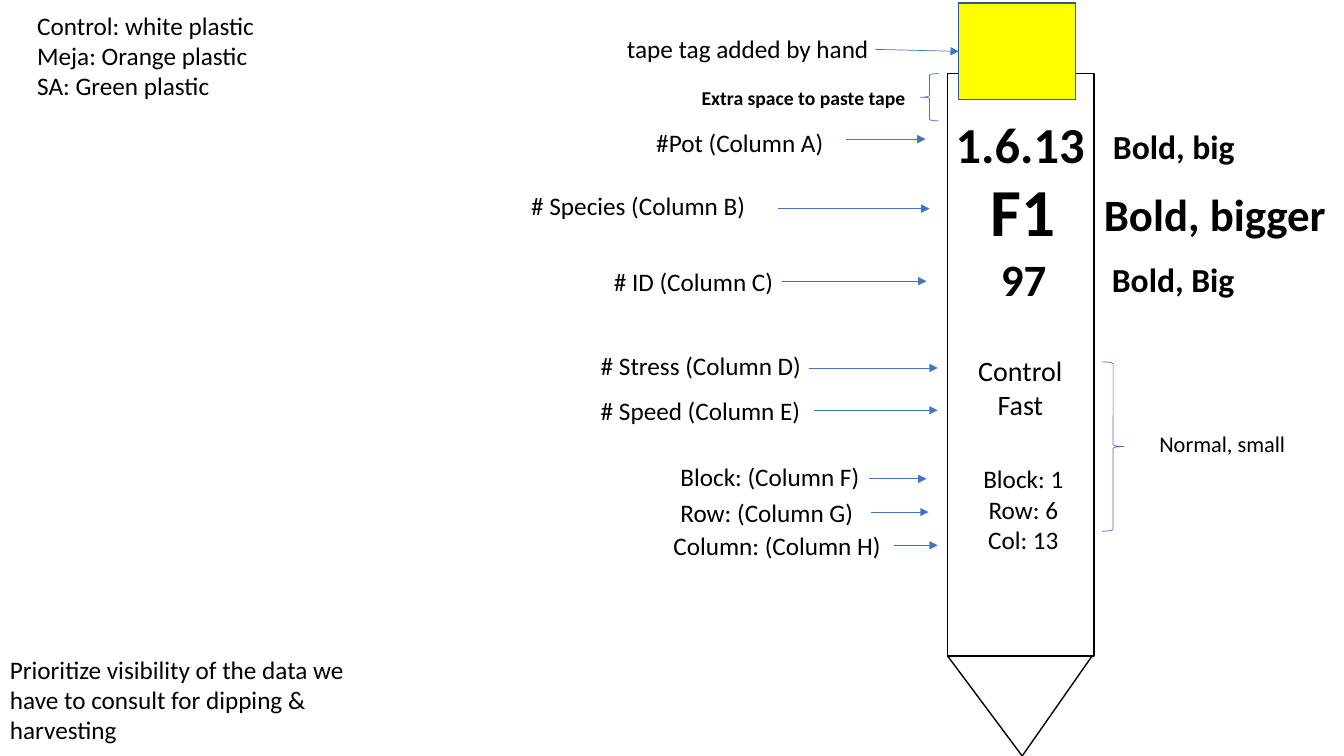
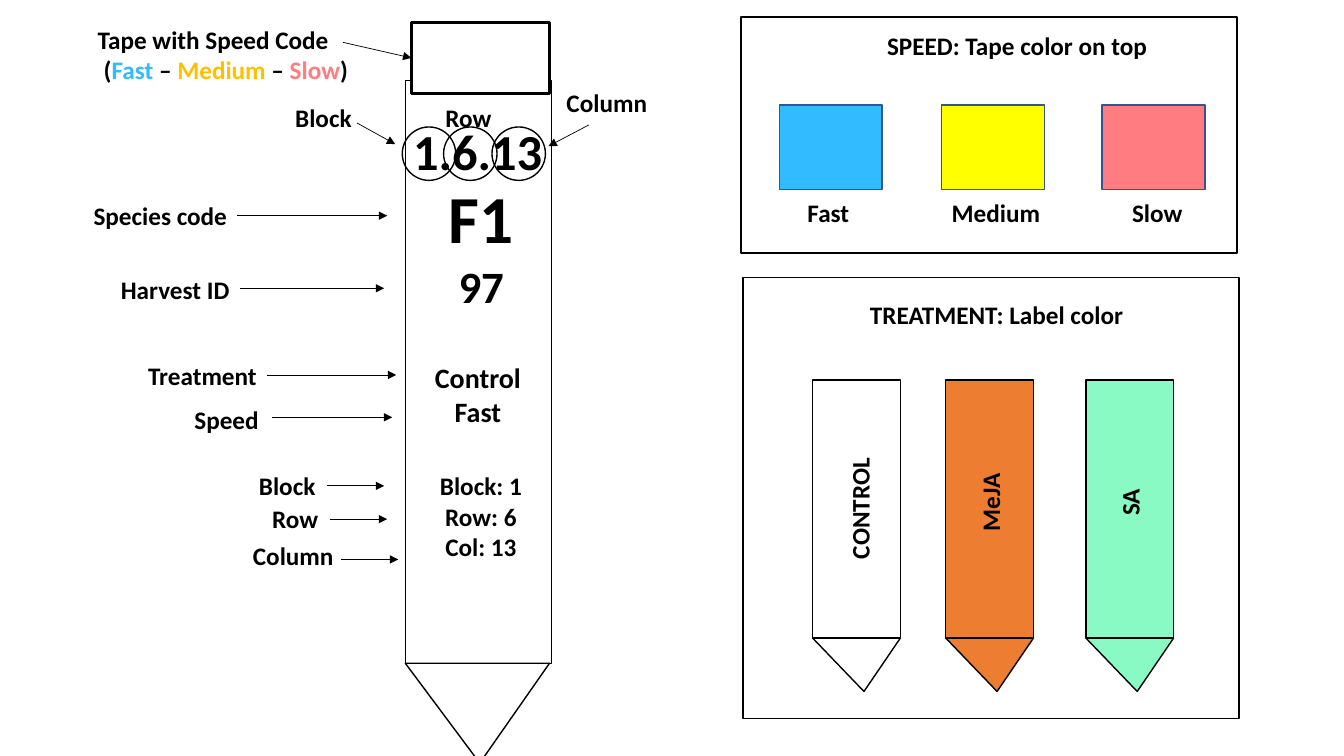
from lxml.etree import SubElement
from pptx import Presentation
from pptx.dml.color import RGBColor
from pptx.enum.shapes import MSO_CONNECTOR, MSO_SHAPE
from pptx.enum.text import MSO_AUTO_SIZE, PP_ALIGN
from pptx.oxml.ns import qn
from pptx.util import Inches, Pt

FONT = "Calibri"
BLACK, WHITE, BLUE, NAVY = "000000", "FFFFFF", "4472C4", "325491"
SKY, YELLOW, AMBER, PINK = "33BBFF", "FFFF00", "FFC000", "FF7C80"
ORANGE, MINT = "ED7D31", "8AFAC5"
LEFT, CENTER = PP_ALIGN.LEFT, PP_ALIGN.CENTER


def add_text(page, left, top, width, text, size=18, bold=False, align=LEFT, wrap=False):
    lines = text.split("\n")
    height = 0.1 + len(lines) * size / 60
    box = page.shapes.add_textbox(Inches(left), Inches(top), Inches(width), Inches(height))
    frame = box.text_frame
    frame.word_wrap = wrap
    frame.auto_size = MSO_AUTO_SIZE.SHAPE_TO_FIT_TEXT
    frame.text = text
    for para in frame.paragraphs:
        para.alignment = align
        para.font.name = FONT
        para.font.size = Pt(size)
        para.font.bold = bold
        para.font.color.rgb = RGBColor.from_string(BLACK)
    return box


def add_figure(page, kind, left, top, width, height, fill=None, line=BLACK, weight=1):
    figure = page.shapes.add_shape(kind, Inches(left), Inches(top), Inches(width), Inches(height))
    figure.shadow.inherit = False
    if fill:
        figure.fill.solid()
        figure.fill.fore_color.rgb = RGBColor.from_string(fill)
    else:
        figure.fill.background()
    figure.line.color.rgb = RGBColor.from_string(line)
    figure.line.width = Pt(weight)
    return figure


deck = Presentation()
deck.slide_width = Inches(13.33)
deck.slide_height = Inches(7.5)
layout_page, legend_page = [deck.slides.add_slide(deck.slide_layouts[6]) for _ in range(2)]

for page, left, top, bold in [(layout_page, 9.4, 0.73, False), (legend_page, 4.02, 0.8, True)]:
    add_figure(page, MSO_SHAPE.RECTANGLE, left, top, 1.45, 5.78, WHITE)
    tip = add_figure(page, MSO_SHAPE.ISOSCELES_TRIANGLE, left, top + 5.78, 1.43, 0.99, WHITE)
    tip.rotation = 180
    tip.adjustments[0] = 0.484
    for across, down, width, text, size, strong, align in [
        (0.12, 2.73, 1.2, "Control\nFast", 20, bold, CENTER),
        (0.15, 3.82, 1.2, "Block: 1\nRow: 6\nCol: 13", 18, bold, CENTER),
        (-0.02, 0.34, 1.5, "1.6.13", 36, True, LEFT),
        (0.33, 0.9, 0.85, "F1", 48, True, LEFT),
        (0.43, 1.72, 0.66, "97", 32, True, LEFT),
    ]:
        add_text(page, left + across, top + down, width, text, size, strong, align)

add_text(layout_page, 0, 6.44, 3.8,
         "Prioritize visibility of the data we have to consult for dipping & harvesting", wrap=True)
add_text(layout_page, 0.27, 0.05, 2.38,
         "Control: white plastic\nMeja: Orange plastic\nSA: Green plastic")
yellow_tape = add_figure(layout_page, MSO_SHAPE.RECTANGLE, 9.51, 0.03, 1.16, 0.96, YELLOW, NAVY)
add_figure(layout_page, MSO_SHAPE.LEFT_BRACE, 9.13, 0.73, 0.18, 0.47, line=BLUE, weight=0.5)
add_figure(layout_page, MSO_SHAPE.RIGHT_BRACE, 10.93, 3.59, 0.22, 1.68, line=BLUE, weight=0.5)

for left, top, width, text in [
    (6.12, 0.28, 2.63, "tape tag added by hand"),
    (6.41, 1.21, 1.88, "#Pot (Column A)"),
    (5.17, 1.84, 2.35, "# Species (Column B)"),
    (5.99, 2.59, 1.8, "# ID (Column C)"),
    (5.86, 3.43, 2.21, "# Stress (Column D)"),
    (5.86, 3.87, 2.21, "# Speed (Column E)"),
    (6.65, 4.53, 2, "Block: (Column F)"),
    (6.65, 4.88, 1.94, "Row: (Column G)"),
    (6.58, 5.21, 2.29, "Column: (Column H)"),
]:
    add_text(layout_page, left, top, width, text)

for left, top, width, text, size, bold in [
    (6.86, 0.8, 2.32, "Extra space to paste tape", 14, True),
    (10.94, 1.2, 1.42, "Bold, big", 24, True),
    (10.85, 1.8, 2.42, "Bold, bigger", 32, True),
    (10.93, 2.52, 1.43, "Bold, Big", 24, True),
    (11.4, 4.22, 1.51, "Normal, small", 16, False),
]:
    add_text(layout_page, left, top, width, text, size, bold)

plain_tape = add_figure(legend_page, MSO_SHAPE.RECTANGLE, 4.08, 0.22, 1.37, 0.71, WHITE, weight=2.25)
for left in (3.99, 4.4, 4.88):
    add_figure(legend_page, MSO_SHAPE.OVAL, left, 1.26, 0.53, 0.53)
add_figure(legend_page, MSO_SHAPE.RECTANGLE, 7.35, 0.17, 4.92, 2.34)
add_figure(legend_page, MSO_SHAPE.RECTANGLE, 7.37, 2.75, 4.92, 4.38)

tape_note = add_text(legend_page, 0.87, 0.19, 2.71, "Tape with Speed Code\n", bold=True)
code_line = tape_note.text_frame.paragraphs[1]
code_line._p.get_or_add_pPr().set("marL", str(Inches(0.06)))
for text, color in [("(", BLACK), ("Fast", SKY), (" – ", BLACK), ("Medium", AMBER),
                    (" – ", BLACK), ("Slow", PINK), (")", BLACK)]:
    span = code_line.add_run()
    span.text = text
    span.font.color.rgb = RGBColor.from_string(color)

for left, top, width, text in [
    (2.83, 0.97, 0.77, "Block"),
    (4.32, 0.97, 0.66, "Row"),
    (5.52, 0.82, 1.01, "Column"),
    (0.83, 1.94, 1.58, "Species code"),
    (1.1, 2.67, 1.29, "Harvest ID"),
    (1.37, 3.53, 1.35, "Treatment"),
    (1.83, 3.96, 0.84, "Speed"),
    (2.47, 4.62, 0.77, "Block"),
    (2.6, 4.94, 0.66, "Row"),
    (2.41, 5.31, 1.01, "Column"),
    (8.7, 0.25, 2.8, "SPEED: Tape color on top"),
    (8.53, 2.92, 2.73, "TREATMENT: Label color"),
]:
    add_text(legend_page, left, top, width, text, bold=True)

for left, color, caption_left, width, caption in [
    (7.73, SKY, 7.91, 0.62, "Fast"),
    (9.34, YELLOW, 9.34, 1.09, "Medium"),
    (10.93, PINK, 11.13, 0.7, "Slow"),
]:
    add_figure(legend_page, MSO_SHAPE.RECTANGLE, left, 1.04, 1.02, 0.84, color, NAVY)
    add_text(legend_page, caption_left, 1.91, width, caption, bold=True)

for left, color, name_left, name_top, width, name in [
    (8.06, WHITE, 7.92, 4.84, 1.21, "CONTROL"),
    (9.38, ORANGE, 9.43, 4.78, 0.78, "MeJA"),
    (10.77, MINT, 10.97, 4.78, 0.47, "SA"),
]:
    add_figure(legend_page, MSO_SHAPE.RECTANGLE, left, 3.77, 0.87, 2.56, color)
    tip = add_figure(legend_page, MSO_SHAPE.ISOSCELES_TRIANGLE, left, 6.33, 0.87, 0.53, color)
    tip.rotation = 180
    tip.adjustments[0] = 0.415
    add_text(legend_page, name_left, name_top, width, name, bold=True).rotation = 270

layout_arrows = [
    (8.68, 0.49, 9.51, 0.51), (8.39, 1.38, 9.18, 1.38), (7.72, 2.07, 9.22, 2.07),
    (7.76, 2.79, 9.19, 2.79), (8.02, 3.65, 9.3, 3.65), (8.07, 4.07, 9.3, 4.07),
    (8.62, 4.75, 9.19, 4.75), (8.64, 5.08, 9.21, 5.08), (8.87, 5.41, 9.3, 5.41),
]
legend_arrows = [
    (3.4, 0.42, 4.08, 0.57), (3.54, 1.22, 3.92, 1.43), (5.84, 1.24, 5.44, 1.45),
    (2.35, 2.14, 3.84, 2.14), (2.38, 2.86, 3.81, 2.86), (2.65, 3.72, 3.93, 3.72),
    (2.7, 4.14, 3.89, 4.14), (3.24, 4.82, 3.81, 4.82), (3.27, 5.15, 3.84, 5.15),
    (3.38, 5.55, 3.95, 5.55),
]
for page, tape, color, arrows in [
    (layout_page, yellow_tape, BLUE, layout_arrows),
    (legend_page, plain_tape, BLACK, legend_arrows),
]:
    for number, ends in enumerate(arrows):
        arrow = page.shapes.add_connector(MSO_CONNECTOR.STRAIGHT, *[Inches(end) for end in ends])
        arrow.line.color.rgb = RGBColor.from_string(color)
        arrow.line.width = Pt(0.5)
        properties = arrow._element.spPr
        SubElement(properties.find(qn("a:ln")), qn("a:tailEnd"), type="triangle")
        SubElement(properties, qn("a:effectLst"))
        if number == 0:
            arrow.end_connect(tape, 1)

deck.save("out.pptx")
